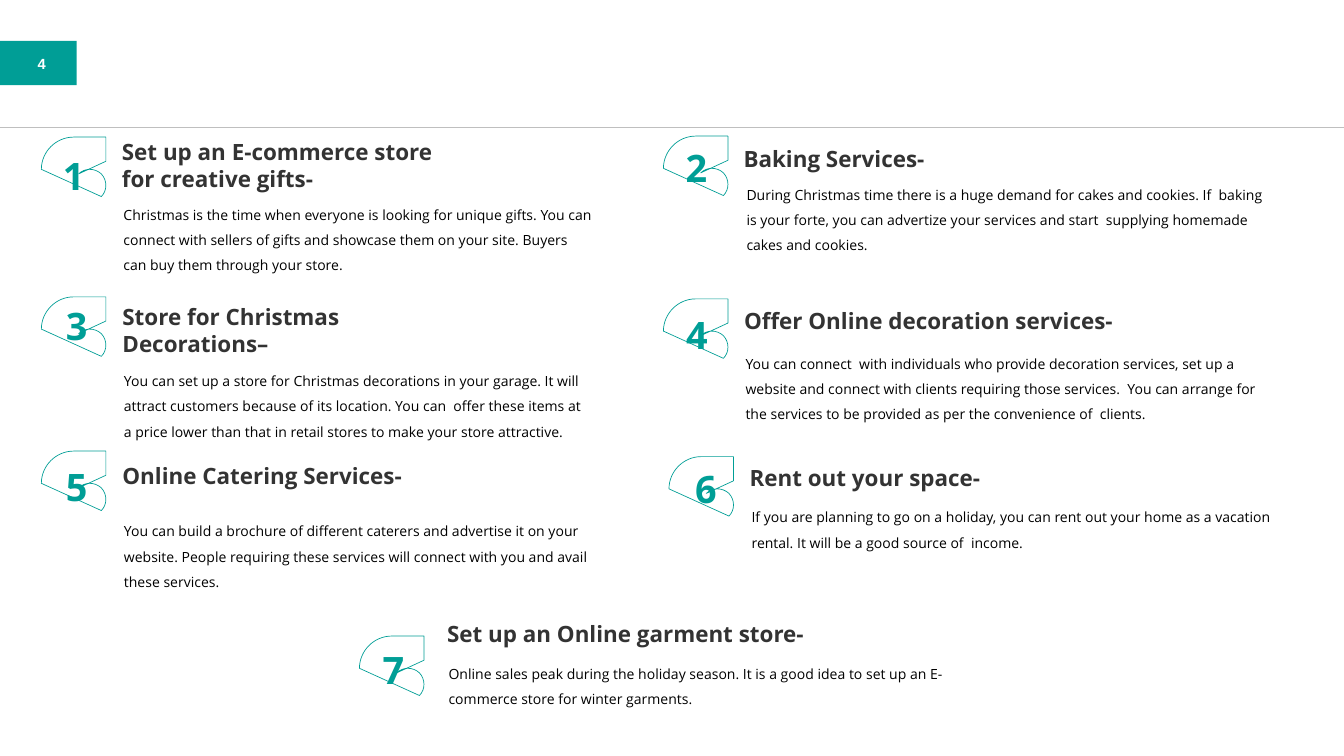
from pptx import Presentation
from pptx.dml.color import RGBColor
from pptx.enum.shapes import MSO_CONNECTOR, MSO_SHAPE
from pptx.enum.text import MSO_AUTO_SIZE, PP_ALIGN
from pptx.oxml.ns import qn
from pptx.util import Pt
from lxml import etree

EMU_PER_PX = 9144  # 100 px to the inch
STRAIGHT = MSO_CONNECTOR.STRAIGHT
RECTANGLE = MSO_SHAPE.RECTANGLE
FIT_SHAPE = MSO_AUTO_SIZE.SHAPE_TO_FIT_TEXT
LEFT, CENTER = PP_ALIGN.LEFT, PP_ALIGN.CENTER

COLORS = {
    "teal": "009E96",
    "heading": "333333",
    "body": "000000",
    "white": "FFFFFF",
    "rule": "BFBFBF",
}
SLIDE_WIDTH, SLIDE_HEIGHT = 2666, 1500

# Badge outline, relative to its top left corner
BADGE_SIZE = 128
BADGE = [
    ("moveTo", [(0, 64)]),
    ("cubicBezTo", [(0, 29), (29, 0), (64, 0)]),
    ("lnTo", [(128, 0)]),
    ("lnTo", [(128, 48)]),
    ("lnTo", [(74, 73)]),
    ("cubicBezTo", [(86, 61), (106, 61), (119, 73)]),
    ("cubicBezTo", [(131, 86), (131, 106), (119, 118)]),
    ("close", []),
]

# Each idea: badge corner, number corner, heading box, body box, body indent, texts
IDEAS = [
    ((82, 272), (115, 298), (232, 269, 668, 117), (235, 388, 951, 160), 0,
     "Set up an E-commerce store for creative gifts-",
     "Christmas is the time when everyone is looking for unique gifts. You can connect with "
     "sellers of gifts and showcase them on your site. Buyers can buy them through your store."),
    ((1316, 270), (1350, 282), (1465, 283, 959, 64), (1421, 348, 1097, 160), 50,
     "Baking Services-",
     "During Christmas time there is a huge demand for cakes and cookies. If  baking is your "
     "forte, you can advertize your services and start  supplying homemade cakes and cookies."),
    ((82, 589), (121, 596), (233, 597, 718, 117), (236, 718, 942, 160), 0,
     "Store for Christmas Decorations–",
     "You can set up a store for Christmas decorations in your garage. It will attract customers "
     "because of its location. You can  offer these items at a price lower than that in retail "
     "stores to make your store attractive."),
    ((1316, 593), (1351, 613), (1466, 604, 789, 64), (1469, 683, 1076, 160), 0,
     "Offer Online decoration services-",
     "You can connect  with individuals who provide decoration services, set up a website and "
     "connect with clients requiring those services.  You can arrange for the services to be "
     "provided as per the convenience of  clients."),
    ((82, 895), (121, 915), (233, 912, 752, 64), (236, 1016, 986, 160), 0,
     "Online Catering Services-",
     "You can build a brochure of different caterers and advertise it on your website. People "
     "requiring these services will connect with you and avail these services."),
    ((1327, 906), (1369, 920), (1477, 915, 789, 64), (1481, 988, 1076, 110), 0,
     "Rent out your space-",
     "If you are planning to go on a holiday, you can rent out your home as a vacation rental. "
     "It will be a good source of  income."),
    ((713, 1262), (749, 1279), (877, 1225, 789, 64), (880, 1298, 1076, 110), 0,
     "Set up an Online garment store-",
     "Online sales peak during the holiday season. It is a good idea to set up an E-commerce "
     "store for winter garments."),
]


def px(length):
    return round(length * EMU_PER_PX)


def color(name):
    return RGBColor.from_string(COLORS[name])


def write(frame, text, size=20, tint="body", font="Open Sans", bold=False, align=LEFT,
          spacing=None, indent=0, wrap=True, margins=(10, 5)):
    frame.word_wrap = wrap
    frame.auto_size = FIT_SHAPE
    frame.margin_left = frame.margin_right = px(margins[0])
    frame.margin_top = frame.margin_bottom = px(margins[1])
    paragraph = frame.paragraphs[0]
    paragraph.alignment = align
    if spacing:
        paragraph.line_spacing = spacing
    if indent:
        paragraph.level = 1
        properties = paragraph._p.get_or_add_pPr()
        properties.set("marL", str(px(indent)))
        properties.set("indent", "0")
    run = paragraph.add_run()
    run.text = text
    run.font.name = font
    run.font.size = Pt(size)
    run.font.bold = bold
    run.font.color.rgb = color(tint)


class SlideBuilder:
    def __init__(self, slide):
        self.slide = slide
        self.shapes = slide.shapes

    def rectangle(self, left, top, width, height, fill):
        shape = self.shapes.add_shape(RECTANGLE, px(left), px(top), px(width), px(height))
        shape.shadow.inherit = False
        shape.fill.solid()
        shape.fill.fore_color.rgb = color(fill)
        shape.line.fill.background()

    def line(self, start, end, tint, weight):
        connector = self.shapes.add_connector(STRAIGHT, *map(px, start + end))
        connector.line.color.rgb = color(tint)
        connector.line.width = Pt(weight)
        etree.SubElement(connector._element.spPr, qn("a:effectLst"))

    def text(self, box, text, **style):
        shape = self.shapes.add_textbox(*map(px, box))
        write(shape.text_frame, text, **style)

    def badge(self, left, top):
        # The square sets the frame; the outline with true curves then fills it
        builder = self.shapes.build_freeform(0, 0, scale=EMU_PER_PX)
        builder.add_line_segments([(BADGE_SIZE, 0), (BADGE_SIZE, BADGE_SIZE)])
        shape = builder.convert_to_shape(px(left), px(top))
        outline = next(shape._element.iter(qn("a:path")))
        for command in list(outline):
            outline.remove(command)
        for name, points in BADGE:
            command = etree.SubElement(outline, qn(f"a:{name}"))
            for x, y in points:
                etree.SubElement(command, qn("a:pt"), x=str(x), y=str(y))
        shape.shadow.inherit = False
        shape.fill.background()
        shape.line.color.rgb = color("teal")
        shape.line.width = Pt(1)


def main():
    presentation = Presentation()
    presentation.slide_width = px(SLIDE_WIDTH)
    presentation.slide_height = px(SLIDE_HEIGHT)
    builder = SlideBuilder(presentation.slides.add_slide(presentation.slide_layouts[6]))

    # Page number tab and header rule
    builder.rectangle(0, 81, 152, 88, "teal")
    builder.text((-8, 98, 181, 55), "4", size=21, tint="white", font="Arial", bold=True,
                 align=CENTER, wrap=False, margins=(20, 10))
    builder.line((SLIDE_WIDTH, 252), (0, 252), "rule", 0.5)

    # Numbered ideas
    for number, (badge, corner, heading_box, body_box, indent, heading, body) in enumerate(IDEAS, 1):
        builder.text(heading_box, heading, size=32, tint="heading", bold=True)
        builder.text(body_box, body, spacing=1.5, indent=indent)
        builder.badge(*badge)
        builder.text((*corner, 63, 100), str(number), size=54, tint="teal", bold=True, wrap=False)

    presentation.save("out.pptx")


if __name__ == "__main__":
    main()
